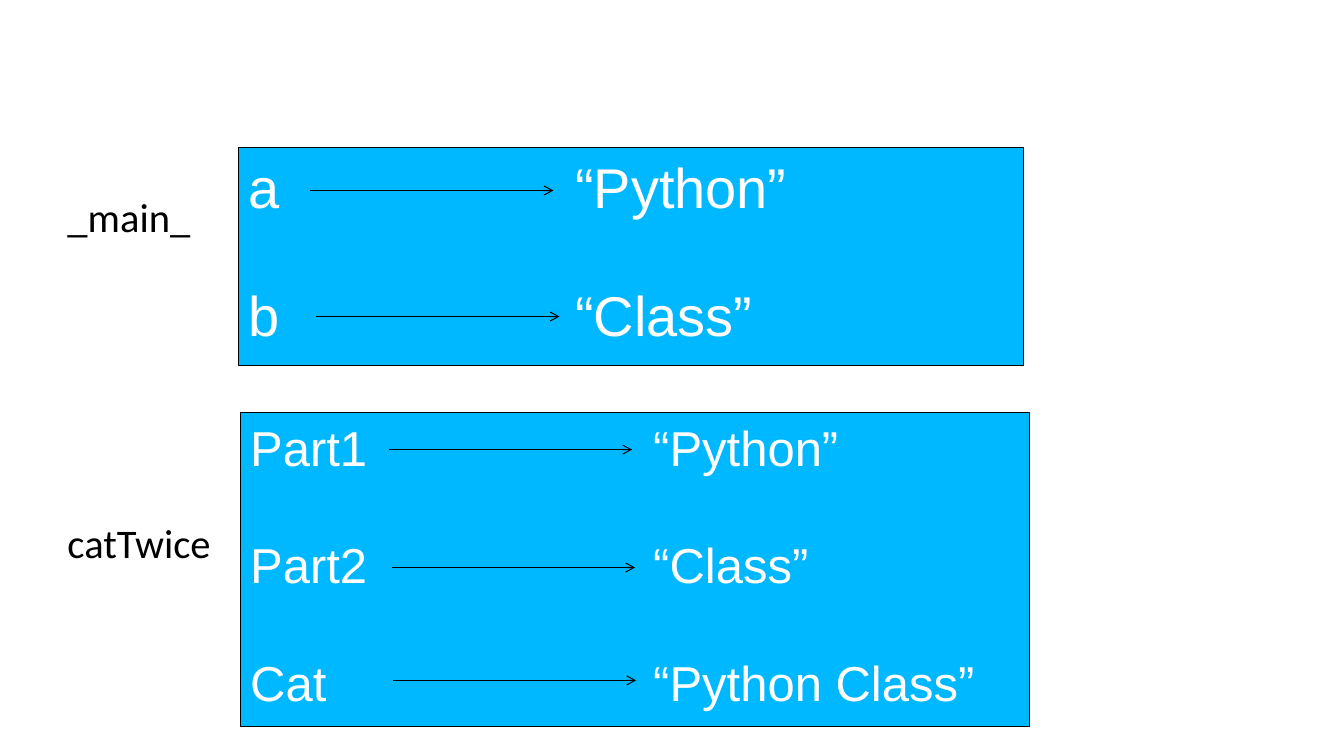
from dataclasses import dataclass

from pptx import Presentation
from pptx.dml.color import RGBColor
from pptx.enum.shapes import MSO_CONNECTOR, MSO_SHAPE
from pptx.enum.text import MSO_ANCHOR, MSO_AUTO_SIZE, PP_ALIGN
from pptx.oxml.ns import qn
from pptx.util import Inches, Pt
from lxml.etree import SubElement

BLACK = RGBColor(0x00, 0x00, 0x00)
WHITE = RGBColor(0xFF, 0xFF, 0xFF)
SKY = RGBColor(0x00, 0xB8, 0xFF)

WIDTH, HEIGHT = Inches(13.34), Inches(7.5)
ARROW_COLS = 18.09


@dataclass
class Variable:
    name: str
    value: str
    arrow_col: float
    arrow_row: float


@dataclass
class Frame:
    col: float
    row: float
    cols: float
    rows: float
    size: float
    gap: float
    value_tab: float
    variables: list[Variable]


FRAMES = [
    Frame(17.77, 19.47, 58.38, 28.93, 40, 43.5, 24.29, [
        Variable("a", "“Python”", 23.09, 25.2),
        Variable("b", "“Class”", 23.54, 41.87),
    ]),
    Frame(17.88, 54.53, 58.7, 41.6, 35, 42, 29.99, [
        Variable("Part1", "“Python”", 28.94, 59.47),
        Variable("Part2", "“Class”", 29.16, 75.07),
        Variable("Cat", "“Python Class”", 29.24, 90),
    ]),
]


# The slide is a grid of 100 columns by 100 rows
def across(cols: float) -> int:
    return round(WIDTH * cols / 100)


def down(rows: float) -> int:
    return round(HEIGHT * rows / 100)


def write(p, text: str, *, font: str, size: float, color: RGBColor,
          before: float = 0, spacing: float = 1, tab: float = 0) -> None:
    p.alignment = PP_ALIGN.LEFT
    p.space_before = Pt(before)
    p.space_after = Pt(0)
    p.line_spacing = spacing
    pPr = p._p.get_or_add_pPr()
    if tab:
        tabs = SubElement(pPr, qn("a:tabLst"))
        SubElement(tabs, qn("a:tab"), pos=str(across(tab)), algn="l")
    else:
        pPr.set("marL", "0")
        pPr.set("indent", "0")
        SubElement(pPr, qn("a:buNone"))
    r = p.add_run()
    r.text = text
    r.font.name, r.font.size = font, Pt(size)
    r.font.color.rgb = color


def set_frame(tf, left: float, top: float) -> None:
    tf.word_wrap = True
    tf.auto_size = MSO_AUTO_SIZE.NONE
    tf.vertical_anchor = MSO_ANCHOR.TOP
    tf.margin_left = tf.margin_right = Inches(left)
    tf.margin_top, tf.margin_bottom = Inches(top), 0


def paragraph(tf, i: int):
    return tf.add_paragraph() if i else tf.paragraphs[0]


def add_labels(slide) -> None:
    body = slide.placeholders[1]
    body.left, body.top = across(5.02), down(23.47)
    body.width, body.height = across(88.61), down(64.13)
    tf = body.text_frame
    set_frame(tf, 0, 0.17)
    for i, name in enumerate(["_main_", "catTwice"]):
        write(paragraph(tf, i), name, font="Calibri", size=29, color=BLACK,
              before=199 * i, spacing=0.97)


def add_arrow(slide, var: Variable) -> None:
    y = down(var.arrow_row)
    line = slide.shapes.add_connector(
        MSO_CONNECTOR.STRAIGHT, across(var.arrow_col), y,
        across(var.arrow_col + ARROW_COLS), y)
    line.line.color.rgb = BLACK
    line.line.width = Pt(0.75)
    SubElement(line.line._get_or_add_ln(), qn("a:tailEnd"), type="arrow")
    SubElement(line._element.spPr, qn("a:effectLst"))


def add_frame(slide, frame: Frame) -> None:
    sp = slide.shapes.add_shape(
        MSO_SHAPE.RECTANGLE, across(frame.col), down(frame.row),
        across(frame.cols), down(frame.rows))
    sp.shadow.inherit = False
    sp.fill.solid()
    sp.fill.fore_color.rgb = SKY
    sp.line.color.rgb = BLACK
    sp.line.width = Pt(0.75)
    tf = sp.text_frame
    set_frame(tf, 0.1, 0.05)
    for i, var in enumerate(frame.variables):
        write(paragraph(tf, i), f"{var.name}\t{var.value}", font="Arial",
              size=frame.size, color=WHITE, before=frame.gap if i else 0,
              tab=frame.value_tab)
        add_arrow(slide, var)


def main() -> None:
    prs = Presentation()
    prs.slide_width, prs.slide_height = WIDTH, HEIGHT
    slide = prs.slides.add_slide(prs.slide_layouts[1])

    # This slide has no title
    title = slide.shapes.title._element
    title.getparent().remove(title)

    # Function names, then one stack frame for each
    add_labels(slide)
    for frame in FRAMES:
        add_frame(slide, frame)
    prs.save("out.pptx")


if __name__ == "__main__":
    main()
